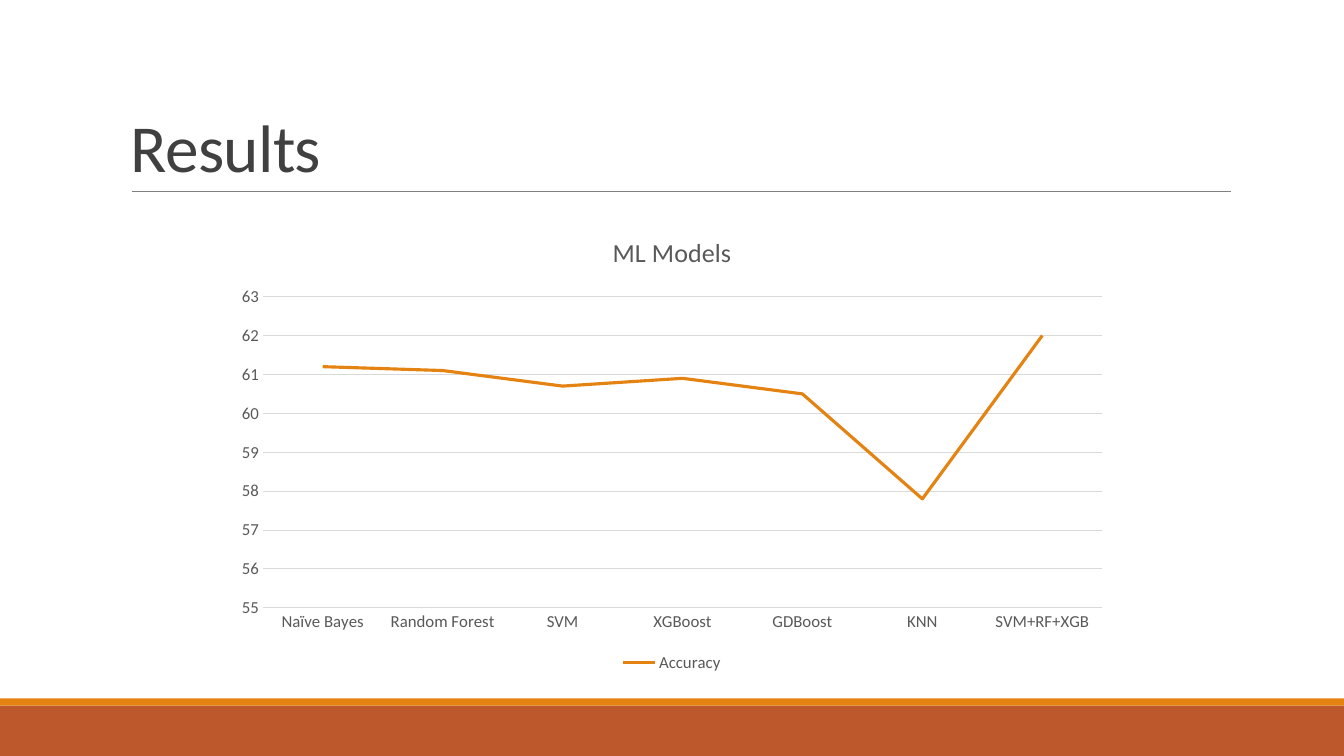
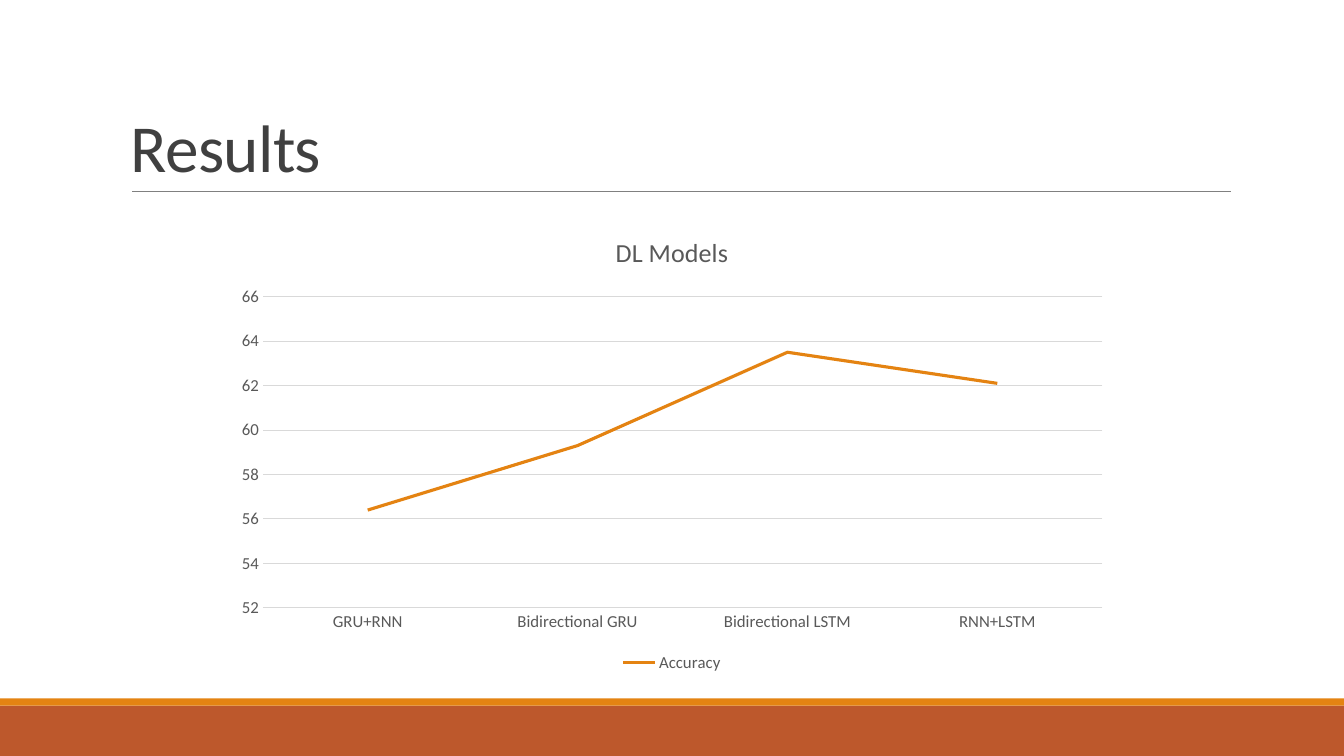
from lxml.etree import SubElement
from pptx import Presentation
from pptx.chart.data import CategoryChartData
from pptx.dml.color import RGBColor
from pptx.enum.chart import XL_CHART_TYPE, XL_LEGEND_POSITION, XL_TICK_MARK
from pptx.enum.shapes import MSO_CONNECTOR, MSO_SHAPE
from pptx.enum.text import MSO_ANCHOR
from pptx.oxml.ns import qn
from pptx.util import Inches, Pt

RUST = RGBColor(0xBD, 0x58, 0x2C)
ORANGE = RGBColor(0xE4, 0x83, 0x12)
RULE_GRAY = RGBColor(0x80, 0x80, 0x80)
GRID_GRAY = RGBColor(0xD9, 0xD9, 0xD9)
TITLE_GRAY = RGBColor(0x40, 0x40, 0x40)
CHART_GRAY = RGBColor(0x59, 0x59, 0x59)
FONT = "Calibri"

BANDS = [(7, 0.5, RUST), (6.93, 0.07, ORANGE)]  # top, height, colour

# chart title, axis minimum, maximum and step, accuracy by model
RESULTS = [
    ("ML Models", 55, 63, 1, {
        "Naïve Bayes": 61.2,
        "Random Forest": 61.1,
        "SVM": 60.7,
        "XGBoost": 60.9,
        "GDBoost": 60.5,
        "KNN": 57.8,
        "SVM+RF+XGB": 62,
    }),
    ("DL Models", 52, 66, 2, {
        "GRU+RNN": 56.4,
        "Bidirectional GRU": 59.3,
        "Bidirectional LSTM": 63.5,
        "RNN+LSTM": 62.1,
    }),
]


def style_font(font, size, color):
    font.name = FONT
    font.size = Pt(size)
    font.bold = False
    font.color.rgb = color


def add_frame(slide, title):
    """Draw the bottom bands, the title and the rule under it."""
    for top, height, color in BANDS:
        band = slide.shapes.add_shape(
            MSO_SHAPE.RECTANGLE, 0, Inches(top), deck.slide_width, Inches(height))
        band.shadow.inherit = False
        band.fill.solid()
        band.fill.fore_color.rgb = color
        band.line.fill.background()

    rule = slide.shapes.add_connector(
        MSO_CONNECTOR.STRAIGHT, Inches(1.31), Inches(1.9), Inches(12.21), Inches(1.9))
    rule.line.color.rgb = RULE_GRAY
    rule.line.width = Pt(0.5)
    SubElement(rule._element.spPr, qn("a:effectLst"))

    box = slide.shapes.add_textbox(Inches(1.2), Inches(0.31), Inches(11), Inches(1.59))
    frame = box.text_frame
    frame.word_wrap = True
    frame.vertical_anchor = MSO_ANCHOR.BOTTOM
    para = frame.paragraphs[0]
    para.line_spacing = 0.85
    style_font(para.font, 48, TITLE_GRAY)
    span = para.add_run()
    span.text = title
    span._r.get_or_add_rPr().set("spc", "-50")


deck = Presentation()
deck.slide_width = Inches(13.33)
deck.slide_height = Inches(7.5)

for chart_title, minimum, maximum, step, accuracy in RESULTS:
    slide = deck.slides.add_slide(deck.slide_layouts[6])
    add_frame(slide, "Results")

    data = CategoryChartData()
    data.categories = list(accuracy)
    data.add_series("Accuracy", list(accuracy.values()))
    chart = slide.shapes.add_chart(
        XL_CHART_TYPE.LINE, Inches(2.22), Inches(2.13), Inches(8.89), Inches(4.58),
        data).chart
    style_font(chart.font, 12, CHART_GRAY)

    chart.has_title = True
    heading = chart.chart_title.text_frame
    heading.text = chart_title
    style_font(heading.paragraphs[0].font, 18.6, CHART_GRAY)
    chart.chart_title.include_in_layout = False

    chart.has_legend = True
    chart.legend.position = XL_LEGEND_POSITION.BOTTOM
    chart.legend.include_in_layout = False

    for axis in (chart.category_axis, chart.value_axis):
        axis.major_tick_mark = XL_TICK_MARK.NONE
        axis.minor_tick_mark = XL_TICK_MARK.NONE
    value_axis = chart.value_axis
    value_axis.minimum_scale = minimum
    value_axis.maximum_scale = maximum
    value_axis.major_unit = step
    value_axis.tick_labels.number_format = "0"
    value_axis.tick_labels.number_format_is_linked = False
    value_axis.format.line.fill.background()
    for line in (chart.category_axis.format.line, value_axis.major_gridlines.format.line):
        line.color.rgb = GRID_GRAY
        line.width = Pt(0.75)

    plot = chart.plots[0]
    plot.vary_by_categories = False
    series = plot.series[0]
    series.smooth = False
    series.format.line.color.rgb = ORANGE
    series.format.line.width = Pt(2.25)

deck.save("out.pptx")
